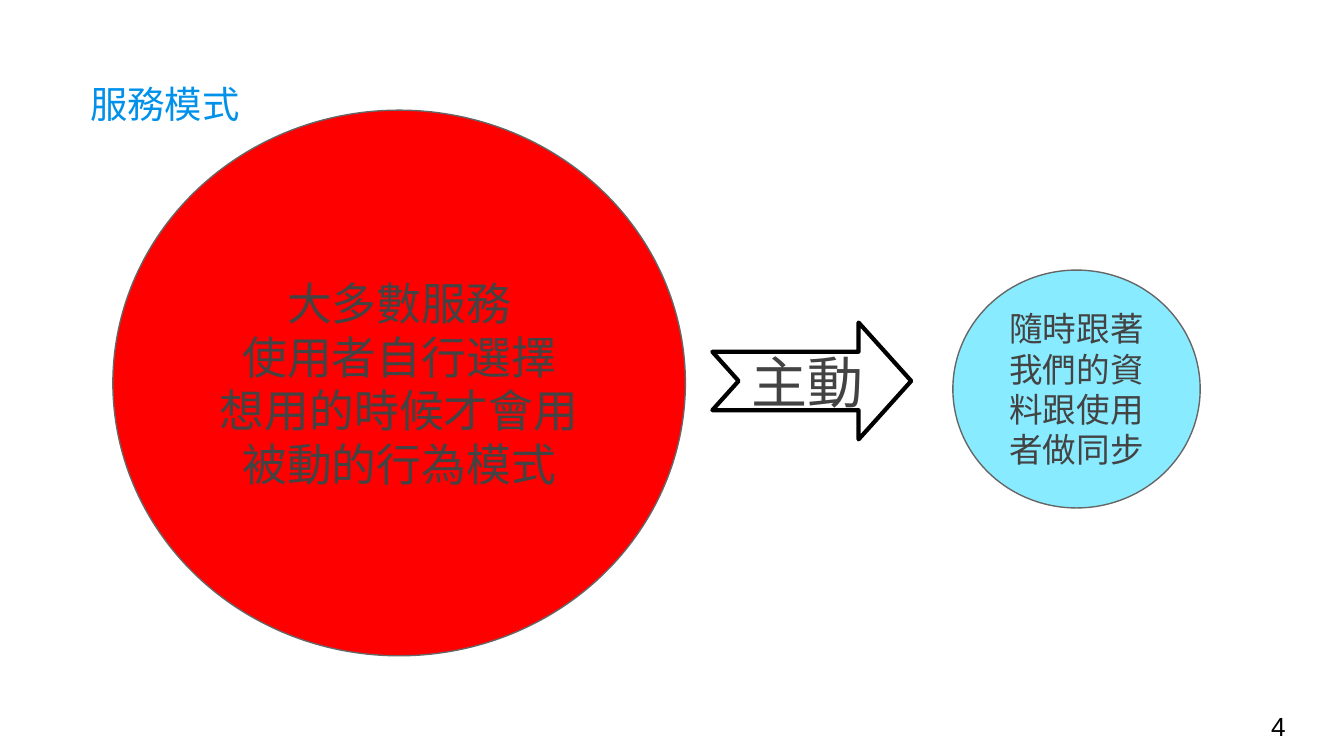
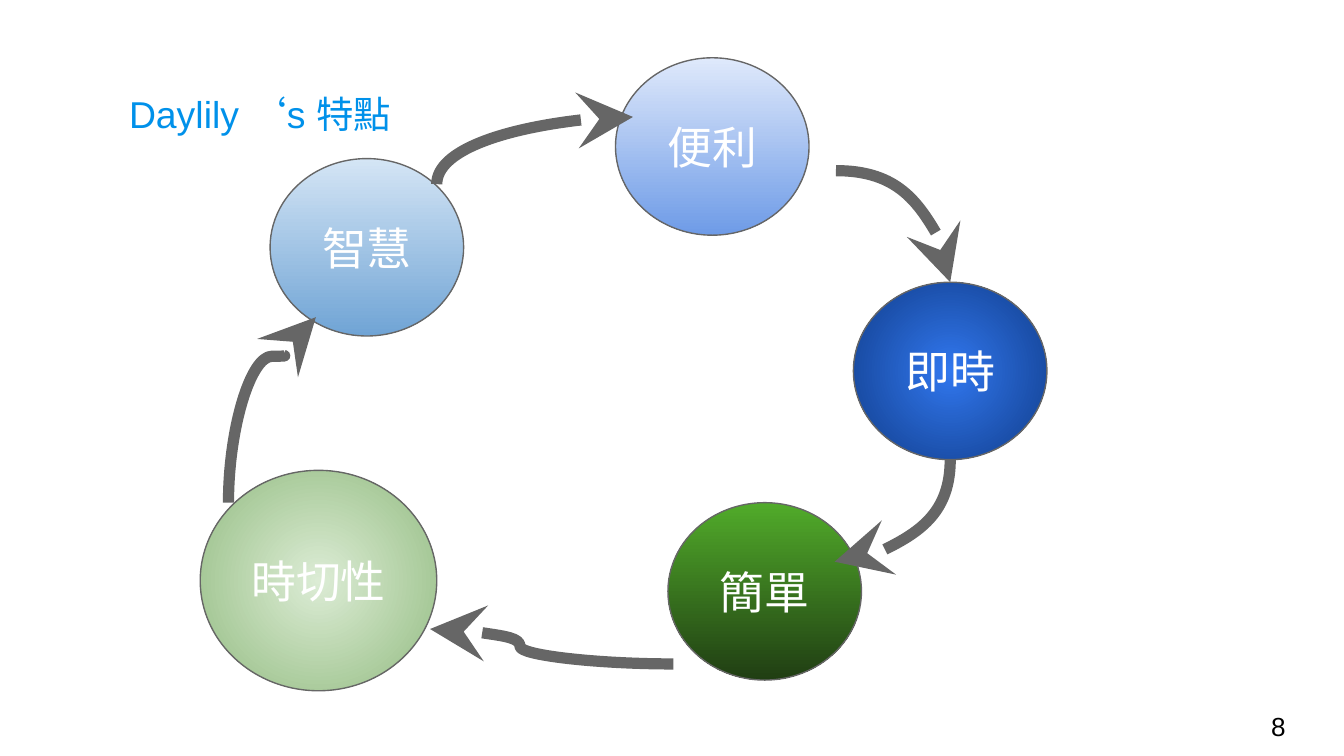
from lxml import etree
from pptx import Presentation
from pptx.dml.color import RGBColor
from pptx.enum.shapes import MSO_CONNECTOR, MSO_SHAPE
from pptx.enum.text import MSO_ANCHOR, MSO_AUTO_SIZE, PP_ALIGN
from pptx.oxml.ns import qn
from pptx.util import Inches, Pt

OVAL, NOTCH = MSO_SHAPE.OVAL, MSO_SHAPE.NOTCHED_RIGHT_ARROW
CURVE = MSO_CONNECTOR.CURVE
LEFT, MID = PP_ALIGN.LEFT, PP_ALIGN.CENTER
MIDDLE, BOTTOM = MSO_ANCHOR.MIDDLE, MSO_ANCHOR.BOTTOM
NO_FIT = MSO_AUTO_SIZE.NONE

# Square grid, ten cells to the inch; every length below is in cells
COLS, ROWS, CELL = 100, 56.25, 0.1
FONT, SLAB = "Arial", "Roboto Slab"
BLUE, GREY, DARK = "0091EA", "666666", "434343"
BLACK, WHITE = "000000", "FFFFFF"


def cells(*nums):
    return [Inches(n * CELL) for n in nums]


def color(code):
    return RGBColor.from_string(code)


def shift(box, x, y, *size):
    return (box[0] + x, box[1] + y, *size)


def write(shape, text, size, tone, align=LEFT, font=FONT, anchor=MIDDLE):
    frame = shape.text_frame
    frame.text = text
    frame.word_wrap = True
    frame.auto_size = NO_FIT
    frame.vertical_anchor = anchor
    frame.margin_left = frame.margin_right = Inches(0.1)
    frame.margin_top = frame.margin_bottom = Inches(0.1)
    for para in frame.paragraphs:
        para.alignment = align
        para.font.size = Pt(size)
        para.font.name = font
        para.font.color.rgb = color(tone)


def blend(fill, tones):
    fill.gradient()
    fill.gradient_angle = 270
    for stop, tone in zip(fill.gradient_stops, tones):
        stop.color.rgb = color(tone)


def glow(shape):
    """Turn a linear gradient into one that spreads from the centre."""
    grad = shape._element.spPr.find(qn("a:gradFill"))
    ring = etree.Element(qn("a:path"), {"path": "circle"})
    etree.SubElement(ring, qn("a:fillToRect"), {s: "50000" for s in "ltrb"})
    grad.replace(grad.find(qn("a:lin")), ring)


def draw(slide, kind, box, line=GREY, width=0.75):
    shape = slide.shapes.add_shape(kind, *cells(*box))
    shape.shadow.inherit = False
    shape.line.color.rgb = color(line)
    shape.line.width = Pt(width)
    return shape


def disc(slide, box, text, size, tone, fill, radial=False):
    shape = draw(slide, OVAL, box)
    if isinstance(fill, str):
        shape.fill.solid()
        shape.fill.fore_color.rgb = color(fill)
    else:
        blend(shape.fill, fill)
        if radial:
            glow(shape)
    write(shape, text, size, tone, MID)


def link(slide, start, end, turn, bend=None):
    """Curved arrow; a quarter turn swaps the sides of its frame."""
    wide, high = abs(end[0] - start[0]), abs(end[1] - start[1])
    if turn % 180:
        wide, high = high, wide
    x, y = (start[0] + end[0]) / 2, (start[1] + end[1]) / 2
    line = slide.shapes.add_connector(CURVE, *cells(
        x - wide / 2, y - high / 2, x + wide / 2, y + high / 2))
    line.line.color.rgb = color(GREY)
    line.line.width = Pt(6)
    props = line._element.spPr
    props.find(qn("a:xfrm")).set("rot", str(turn * 60000))
    geom = props.find(qn("a:prstGeom"))
    if bend is None:
        geom.set("prst", "curvedConnector2")
    else:
        etree.SubElement(geom.find(qn("a:avLst")), qn("a:gd"), {
            "name": "adj1", "fmla": f"val {round(bend * 100000)}"})
    etree.SubElement(props.find(qn("a:ln")), qn("a:tailEnd"),
                     {"type": "stealth", "w": "lg", "len": "lg"})
    etree.SubElement(props, qn("a:effectLst"))


def page(deck, title, spot, font, number):
    """Slide with its title and page number."""
    slide = deck.slides.add_slide(deck.slide_layouts[5])
    head = slide.shapes.title
    head.left, head.top, head.width, head.height = cells(*spot, 82.8, 7.7)
    write(head, title, 20, BLUE, font=font, anchor=BOTTOM)
    foot = slide.shapes.add_textbox(*cells(93.6, 51.9, 6, 4.3))
    write(foot, number, 14, BLACK)
    return slide


def modes(slide, box):
    """Passive services, an arrow, and the active service."""
    disc(slide, shift(box, 0, 0, 42.6, 40.6),
         "大多數服務\n使用者自行選擇\n想用的時候才會用\n被動的行為模式",
         24, DARK, "FF0000")
    disc(slide, shift(box, 62.5, 11.9, 18.4, 17.7),
         "隨時跟著我們的資料跟使用者做同步", 18, DARK, "88EBFF")
    arrow = draw(slide, NOTCH, shift(box, 44.6, 15.8, 14.8, 8.7), BLACK, 2.25)
    arrow.adjustments[0], arrow.adjustments[1] = 0.5, 0.45
    arrow.fill.background()
    write(arrow, "主動", 30, DARK)


def cycle(slide, box):
    """Ring of five traits joined by curved arrows."""
    size = (14.4, 13.2)
    traits = [
        ("便利", (30.9, 0, *size), ("DFE9FB", "6E9BE7"), False),
        ("智慧", (5.2, 7.5, *size), ("D4E5F5", "70A4D5"), False),
        ("時切性", (0, 30.7, 17.6, 16.4), ("DCECD5", "93BC81"), True),
        ("簡單", (34.8, 33.1, *size), ("51AB2A", "203E13"), False),
        ("即時", (48.6, 16.7, *size), ("3177EE", "113D8A"), True),
    ]
    for text, spot, tones, radial in traits:
        disc(slide, shift(box, *spot), text, 24, WHITE, tones, radial)

    links = [
        ((17.6, 9.4), (32.2, 4.4), 270, None),
        ((55.8, 29.9), (47.2, 37.5), 90, None),
        ((47.3, 8.4), (55.8, 16.7), 0, None),
        ((2.1, 33.1), (8.6, 19.3), 270, 0.79),
        ((35.2, 45.1), (17.1, 42.5), 180, 0.63),
    ]
    for start, end, turn, bend in links:
        link(slide, shift(box, *start), shift(box, *end), turn, bend)


def main():
    deck = Presentation()
    deck.slide_width, deck.slide_height = cells(COLS, ROWS)
    modes(page(deck, "服務模式", (5.7, 2.7), SLAB, "4"), (8.4, 8.2))
    cycle(page(deck, "Daylily ‘s 特點", (8.6, 3.4), FONT, "8"), (14.9, 4.3))
    deck.save("out.pptx")


if __name__ == "__main__":
    main()
